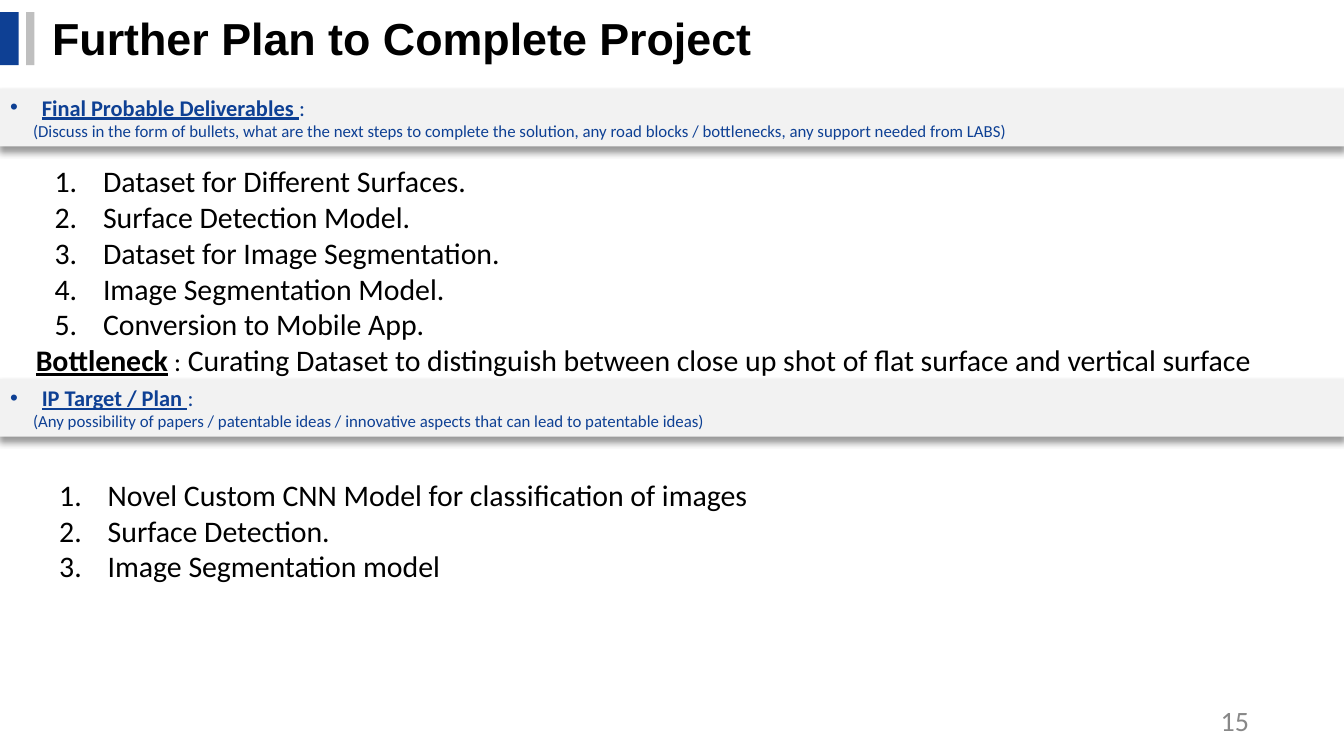
import pptx
import pptx.util
import pptx.dml.color
import pptx.enum.shapes
import pptx.enum.text
import pptx.oxml
import pptx.oxml.ns

Pt = pptx.util.Pt
ALIGN = pptx.enum.text.PP_ALIGN
ANCHOR = pptx.enum.text.MSO_ANCHOR
NS = pptx.oxml.ns.nsdecls("a")
BLUE, BLACK, PALE, SILVER, GREY = "0E4094", "000000", "F2F2F2", "BFBFBF", "888888"


def tint(target, code):
    """Give a font or a fill a solid colour."""
    if hasattr(target, "solid"):
        target.solid()
        target.fore_color.rgb = pptx.dml.color.RGBColor.from_string(code)
    else:
        tint(target.fill, code)


def place(shape, box):
    shape.left, shape.top, shape.width, shape.height = map(Pt, box)


def frame(shape, pad, anchor=ANCHOR.TOP):
    text = shape.text_frame
    text.word_wrap = True
    text.auto_size = pptx.enum.text.MSO_AUTO_SIZE.NONE
    text.vertical_anchor = anchor
    text.margin_left = text.margin_right = Pt(pad[0])
    text.margin_top = text.margin_bottom = Pt(pad[1])
    return text


def write(para, words, size, code, face="Calibri", align=ALIGN.LEFT):
    """Fill a paragraph from (text, strong) pairs and return its runs."""
    para.alignment = align
    para.space_before = para.space_after = Pt(0)
    para.font.size, para.font.name = Pt(size), face
    tint(para.font, code)
    runs = []
    for text, strong in words:
        run = para.add_run()
        run.text = text
        if strong:
            run.font.bold = run.font.underline = True
        runs.append(run)
    return runs


def indent(para, left, hang=0, mark="<a:buNone/>", code=None):
    """Set the left indent and the bullet; call before write."""
    props = para._p.get_or_add_pPr()
    props.set("marL", str(Pt(left)))
    props.set("indent", str(Pt(-hang)))
    if code:
        props.append(pptx.oxml.parse_xml(
            f'<a:buClr {NS}><a:srgbClr val="{code}"/></a:buClr>'))
        props.append(pptx.oxml.parse_xml(f'<a:buFont {NS} typeface="Arial"/>'))
    props.append(pptx.oxml.parse_xml(mark.replace("/>", f" {NS}/>")))


def block(slide, box, code):
    """Draw a plain rectangle."""
    shape = slide.shapes.add_shape(
        pptx.enum.shapes.MSO_SHAPE.RECTANGLE, *map(Pt, box))
    tint(shape.fill, code)
    shape.line.fill.background()
    shape.shadow.inherit = False
    return shape


def header(slide, box, text):
    left, top, width, height = box
    block(slide, (left, top + 3.5, 10, 28.5), BLUE)
    block(slide, (left + 14, top + 3.5, 4.5, 28.5), SILVER)
    title = slide.shapes.title
    place(title, (left + 22.5, top, width - 22.5, height))
    para = frame(title, (5.4, 2.7), ANCHOR.MIDDLE).paragraphs[0]
    write(para, [(text, False)], 24, BLACK, "Arial")
    para.font.bold = True


def band(slide, box, head, hint):
    shape = block(slide, box, PALE)
    effect = shape._element.spPr.find(pptx.oxml.ns.qn("a:effectLst"))
    effect.append(pptx.oxml.parse_xml(
        f'<a:outerShdw {NS} blurRad="{Pt(4)}" dist="{Pt(3)}" dir="5400000" '
        'algn="t" rotWithShape="0"><a:srgbClr val="000000">'
        '<a:alpha val="40000"/></a:srgbClr></a:outerShdw>'))
    text = frame(shape, (5.4, 2.7))
    first, second = text.paragraphs[0], text.add_paragraph()
    indent(first, 17, 17, '<a:buChar char="•"/>', BLUE)
    write(first, [(head + " ", True), (":", False)], 12, BLUE, align=ALIGN.JUSTIFY)
    indent(second, 12.3)
    write(second, [(hint, False)], 9, BLUE, align=ALIGN.JUSTIFY)


def steps(holder, box, items):
    """Fill a body placeholder with a numbered list."""
    place(holder, box)
    text = frame(holder, (7.2, 7.2))
    for i, item in enumerate(items):
        para = text.add_paragraph() if i else text.paragraphs[0]
        indent(para, 36, 26, '<a:buAutoNum type="arabicPeriod"/>', BLACK)
        write(para, [(item, False)], 16, BLACK)
    return text


def remark(text, label, body):
    """Add an unnumbered closing line below a list."""
    para = text.add_paragraph()
    indent(para, 0)
    words = [(label, True), (" :", False), (" " + body, False)]
    write(para, words, 16, BLACK)[1].font.size = Pt(14)


def number(slide, box, text):
    shape = slide.shapes.add_textbox(*map(Pt, box))
    para = frame(shape, (5.4, 2.7), ANCHOR.MIDDLE).paragraphs[0]
    write(para, [(text, False)], 15, GREY, align=ALIGN.RIGHT)


def main():
    deck = pptx.Presentation()
    deck.slide_width, deck.slide_height = Pt(720), Pt(405)
    slide = deck.slides.add_slide(deck.slide_layouts.get_by_name("Two Content"))
    goals, ideas = slide.placeholders[1], slide.placeholders[2]

    header(slide, (0, 3, 577.5, 34.5), "Further Plan to Complete Project")
    band(slide, (0, 47.5, 720, 31), "Final Probable Deliverables",
         "(Discuss in the form of bullets, what are the next steps to complete "
         "the solution, any road blocks / bottlenecks, any support needed from LABS)")
    text = steps(goals, (12, 80, 696, 131), [
        "Dataset for Different Surfaces.",
        "Surface Detection Model.",
        "Dataset for Image Segmentation.",
        "Image Segmentation Model.",
        "Conversion to Mobile App.",
    ])
    remark(text, "Bottleneck", "Curating Dataset to distinguish between "
           "close up shot of flat surface and vertical surface")
    band(slide, (0, 203, 720, 31), "IP Target / Plan",
         "(Any possibility of papers / patentable ideas / innovative aspects "
         "that can lead to patentable ideas)")
    steps(ideas, (14.5, 248, 682, 73), [
        "Novel Custom CNN Model for classification of images",
        "Surface Detection.",
        "Image Segmentation model",
    ])
    number(slide, (512.5, 375, 162, 21.5), "15")
    deck.save("out.pptx")


if __name__ == "__main__":
    main()
